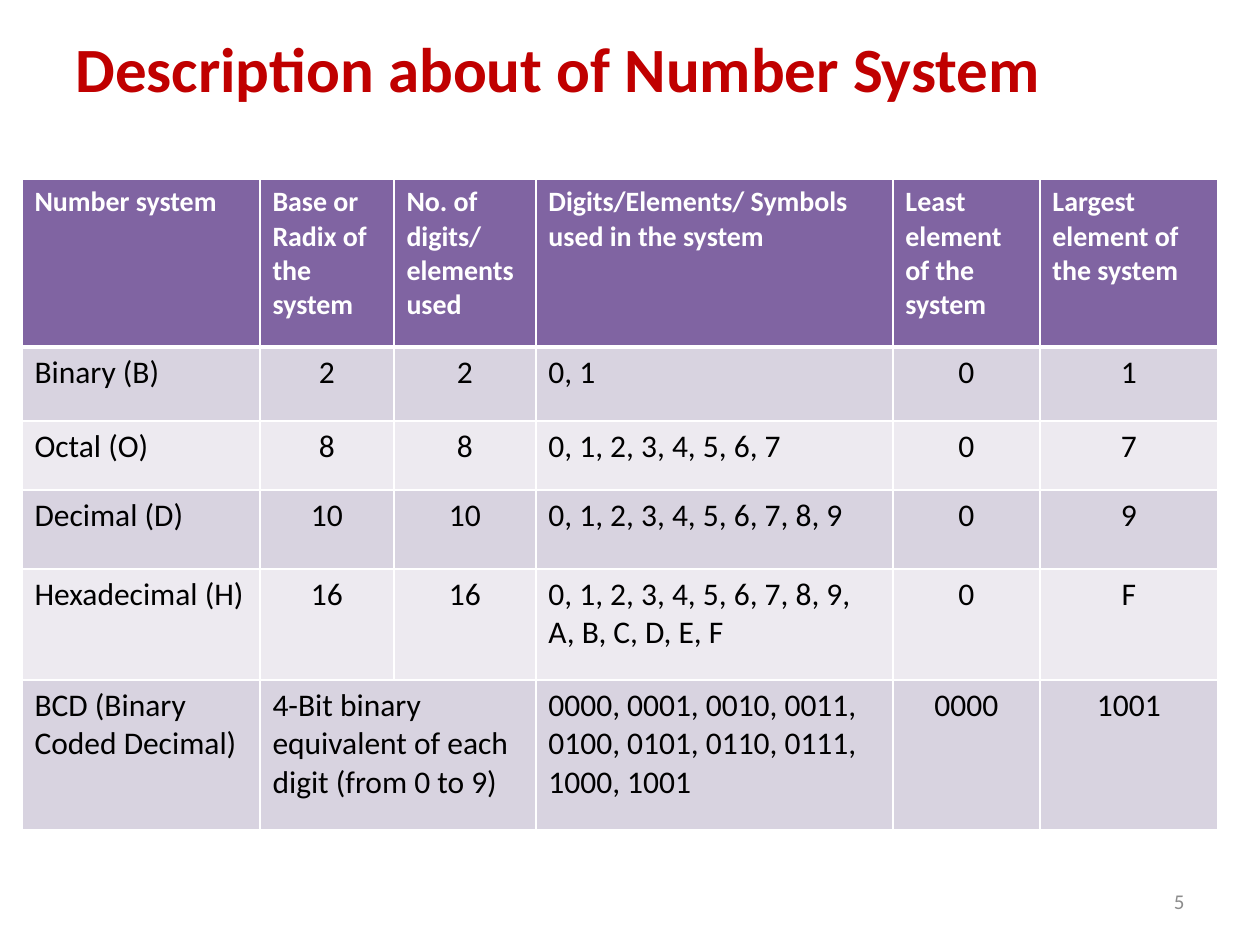
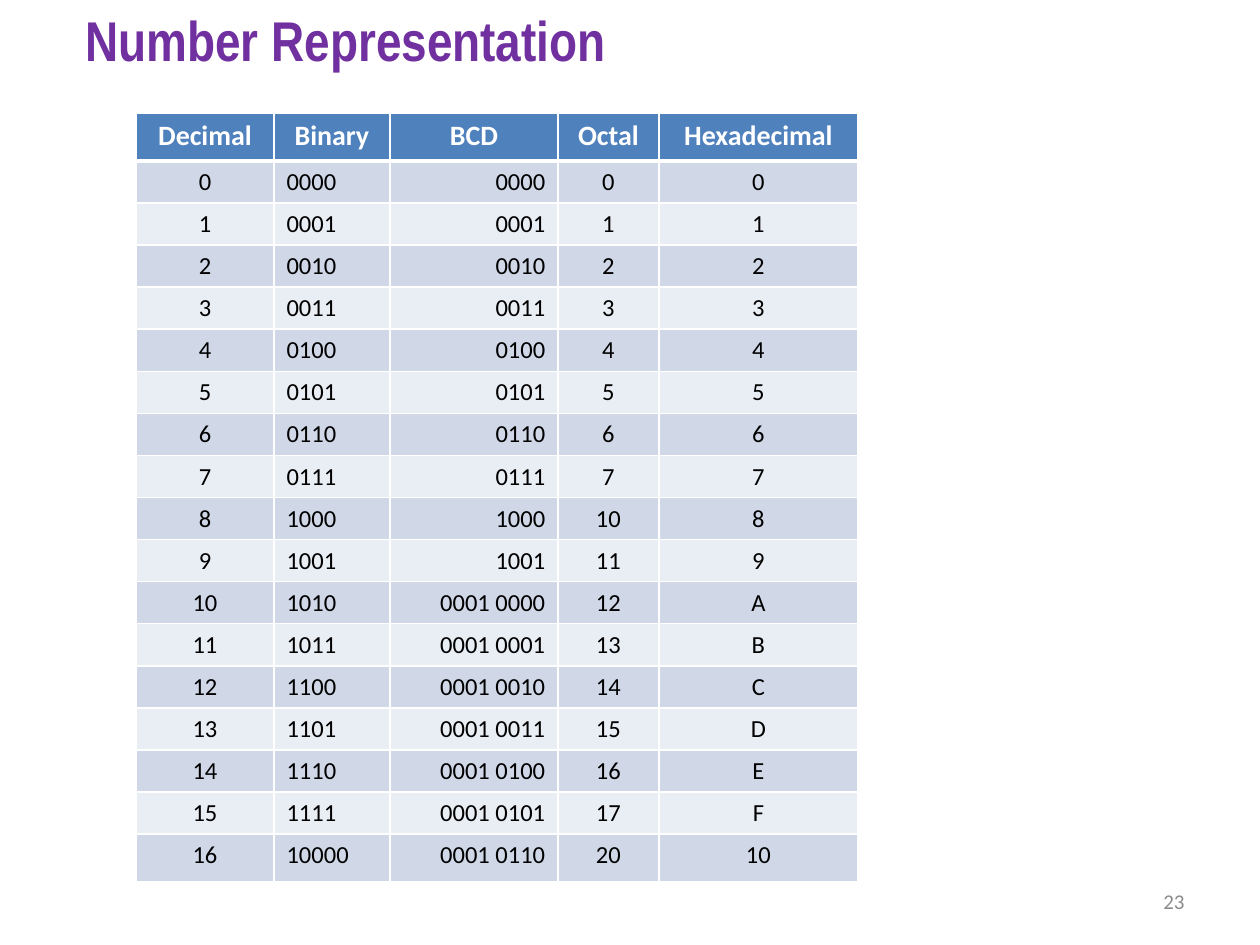
from dataclasses import dataclass

from lxml import etree
from pptx import Presentation
from pptx.dml.color import RGBColor
from pptx.enum.text import MSO_ANCHOR, PP_ALIGN
from pptx.oxml.ns import qn
from pptx.presentation import Presentation as Deck
from pptx.slide import Slide
from pptx.table import _Cell
from pptx.text.text import _Paragraph
from pptx.util import Emu, Pt

LEFT, CENTER, RIGHT = PP_ALIGN.LEFT, PP_ALIGN.CENTER, PP_ALIGN.RIGHT
MIDDLE = MSO_ANCHOR.MIDDLE

PX_PER_INCH = 126
EMU_PER_INCH = 914400
BLANK_LAYOUT = 6

WHITE = RGBColor(0xFF, 0xFF, 0xFF)
BLACK = RGBColor(0x00, 0x00, 0x00)
RED = RGBColor(0xC0, 0x00, 0x00)
VIOLET = RGBColor(0x70, 0x30, 0xA0)
GREY = RGBColor(0x8C, 0x8C, 0x8C)
PURPLE = RGBColor(0x80, 0x64, 0xA2)
PURPLE_MID = RGBColor(0xD8, 0xD3, 0xE0)
PURPLE_PALE = RGBColor(0xED, 0xEA, 0xF0)
BLUE = RGBColor(0x4F, 0x81, 0xBD)
BLUE_MID = RGBColor(0xD0, 0xD8, 0xE8)
BLUE_PALE = RGBColor(0xE9, 0xED, 0xF4)


@dataclass(frozen=True)
class Area:
    left: int
    top: int
    width: int
    height: int


@dataclass(frozen=True)
class TextStyle:
    size: int
    color: RGBColor
    bold: bool = False
    font: str = "Calibri"
    align: PP_ALIGN = LEFT


@dataclass(frozen=True)
class TableStyle:
    header_fill: RGBColor
    band_fills: tuple[RGBColor, RGBColor]
    header_align: PP_ALIGN
    body_aligns: tuple[PP_ALIGN, ...]
    body_size: int


@dataclass(frozen=True)
class Grid:
    left: int
    top: int
    columns: list[int]
    rows: list[int]


PAGE_NUMBER_AREA = Area(903, 876, 294, 50)
PAGE_NUMBER_STYLE = TextStyle(12, GREY, align=RIGHT)
HEADER_SIZE = 16

SYSTEMS_STYLE = TableStyle(
    PURPLE, (PURPLE_MID, PURPLE_PALE), LEFT,
    (LEFT, CENTER, CENTER, LEFT, CENTER, CENTER), 18)
SYSTEMS_GRID = Grid(
    22, 179, [238, 134, 142, 357, 147, 178], [168, 74, 69, 79, 111, 150])
SYSTEMS = [
    ["Number system", "Base or Radix of the system", "No. of digits/ elements used",
     "Digits/Elements/ Symbols used in the system", "Least element of the system",
     "Largest element of the system"],
    ["Binary (B)", "2", "2", "0, 1", "0", "1"],
    ["Octal (O)", "8", "8", "0, 1, 2, 3, 4, 5, 6, 7", "0", "7"],
    ["Decimal (D)", "10", "10", "0, 1, 2, 3, 4, 5, 6, 7, 8, 9", "0", "9"],
    ["Hexadecimal (H)", "16", "16",
     "0, 1, 2, 3, 4, 5, 6, 7, 8, 9, A, B, C, D, E, F", "0", "F"],
    ["BCD (Binary Coded Decimal)",
     "4-Bit binary equivalent of each digit (from 0 to 9)", "",
     "0000, 0001, 0010, 0011, 0100, 0101, 0110, 0111, 1000, 1001", "0000", "1001"],
]

NUMBERS_STYLE = TableStyle(
    BLUE, (BLUE_MID, BLUE_PALE), CENTER, (CENTER, LEFT, RIGHT, CENTER, CENTER), 14)
NUMBERS_GRID = Grid(136, 113, [138, 116, 168, 101, 199], [48] + [42] * 16 + [48])
NUMBERS_HEADER = ["Decimal", "Binary", "BCD", "Octal", "Hexadecimal"]


def px(length: int) -> Emu:
    return Emu(round(length * EMU_PER_INCH / PX_PER_INCH))


def write(para: _Paragraph, text: str, style: TextStyle) -> None:
    para.text = text
    para.alignment = style.align
    para.font.name = style.font
    para.font.size = Pt(style.size)
    para.font.bold = style.bold
    para.font.color.rgb = style.color


def add_text(page: Slide, area: Area, text: str, style: TextStyle) -> None:
    box = page.shapes.add_textbox(
        px(area.left), px(area.top), px(area.width), px(area.height))
    frame = box.text_frame
    frame.word_wrap = True
    frame.vertical_anchor = MIDDLE
    write(frame.paragraphs[0], text, style)


def add_page(deck: Deck, title: str, area: Area, style: TextStyle, number: int) -> Slide:
    page = deck.slides.add_slide(deck.slide_layouts[BLANK_LAYOUT])
    add_text(page, area, title, style)
    add_text(page, PAGE_NUMBER_AREA, str(number), PAGE_NUMBER_STYLE)
    return page


def set_borders(cell: _Cell, top: int, bottom: int) -> None:
    properties = cell._tc.get_or_add_tcPr()
    for side, points in (("lnL", 1), ("lnR", 1), ("lnT", top), ("lnB", bottom)):
        line = etree.SubElement(properties, qn(f"a:{side}"), w=str(Pt(points)))
        fill = etree.SubElement(line, qn("a:solidFill"))
        etree.SubElement(fill, qn("a:srgbClr"), val=str(WHITE))


def add_grid(page: Slide, grid: Grid, data: list[list[str]], style: TableStyle):
    table = page.shapes.add_table(
        len(grid.rows), len(grid.columns), px(grid.left), px(grid.top),
        px(sum(grid.columns)), px(sum(grid.rows))).table
    table.horz_banding = False
    for column, width in zip(table.columns, grid.columns):
        column.width = px(width)
    for row, height in zip(table.rows, grid.rows):
        row.height = px(height)

    header = TextStyle(HEADER_SIZE, WHITE, bold=True, align=style.header_align)
    body = [TextStyle(style.body_size, BLACK, align=align) for align in style.body_aligns]
    for row_index, texts in enumerate(data):
        is_header = row_index == 0
        fill = style.header_fill if is_header else style.band_fills[(row_index - 1) % 2]
        for column_index, text in enumerate(texts):
            cell = table.cell(row_index, column_index)
            set_borders(cell, 3 if row_index == 1 else 1, 3 if is_header else 1)
            cell.fill.solid()
            cell.fill.fore_color.rgb = fill
            write(cell.text_frame.paragraphs[0], text,
                  header if is_header else body[column_index])
    return table


def number_row(value: int) -> list[str]:
    bcd = " ".join(f"{int(digit):04b}" for digit in str(value))
    return [str(value), f"{value:04b}", bcd, f"{value:o}", f"{value:X}"]


def build_systems(deck: Deck) -> None:
    page = add_page(deck, "Description about of Number System",
                    Area(63, 28, 1155, 78), TextStyle(36, RED, bold=True), 5)
    table = add_grid(page, SYSTEMS_GRID, SYSTEMS, SYSTEMS_STYLE)
    bcd_row = len(SYSTEMS) - 1
    bcd_note = table.cell(bcd_row, 1)
    bcd_note.merge(table.cell(bcd_row, 2))
    bcd_note.text_frame.paragraphs[0].alignment = LEFT


def build_numbers(deck: Deck) -> None:
    page = add_page(deck, "Number Representation", Area(73, 0, 1103, 78),
                    TextStyle(32, VIOLET, bold=True, font="Arial Narrow"), 23)
    rows = [number_row(value) for value in range(17)]
    add_grid(page, NUMBERS_GRID, [NUMBERS_HEADER] + rows, NUMBERS_STYLE)


def main() -> None:
    deck = Presentation()
    deck.slide_width = px(1260)
    deck.slide_height = px(945)
    build_systems(deck)
    build_numbers(deck)
    deck.save("out.pptx")


if __name__ == "__main__":
    main()
